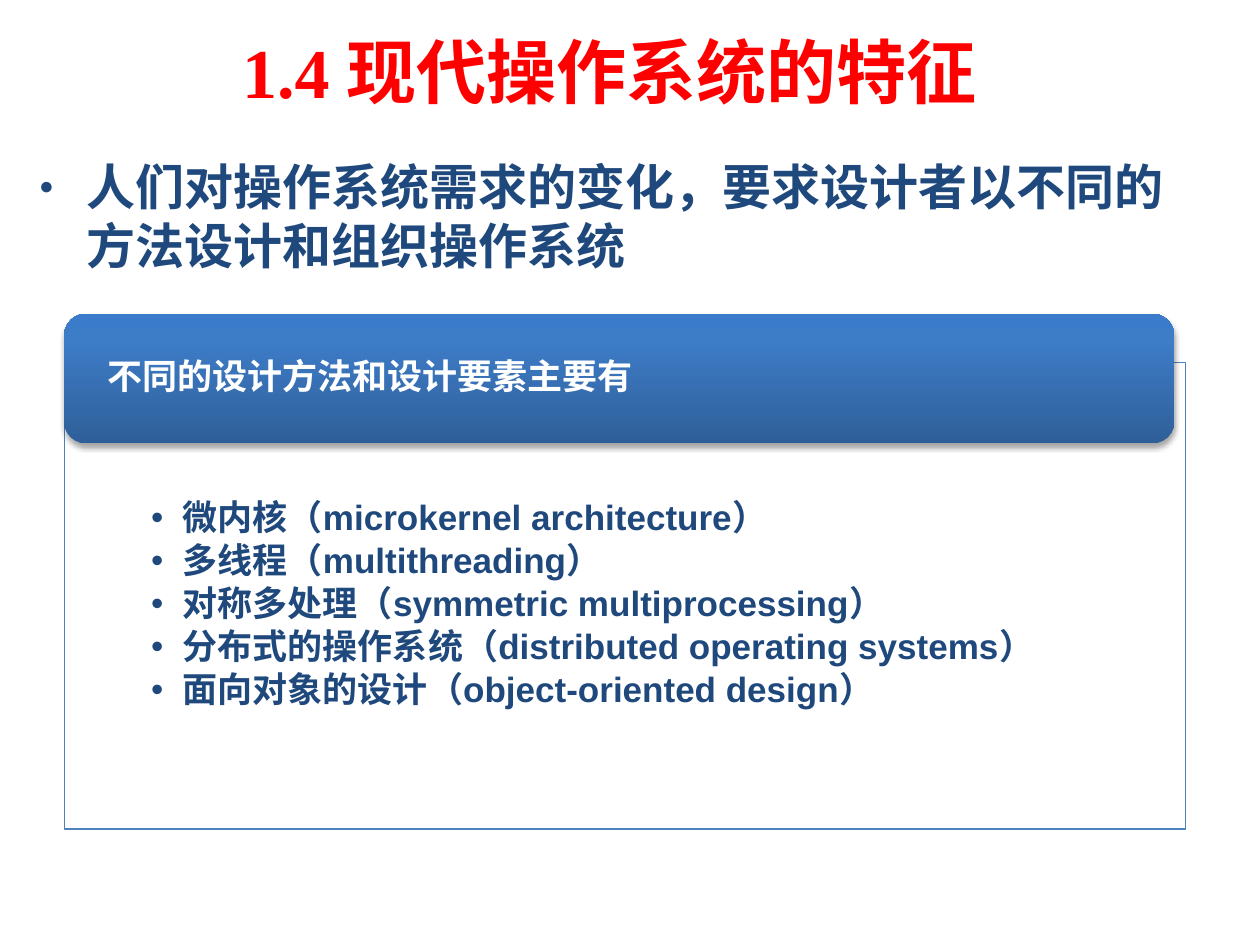
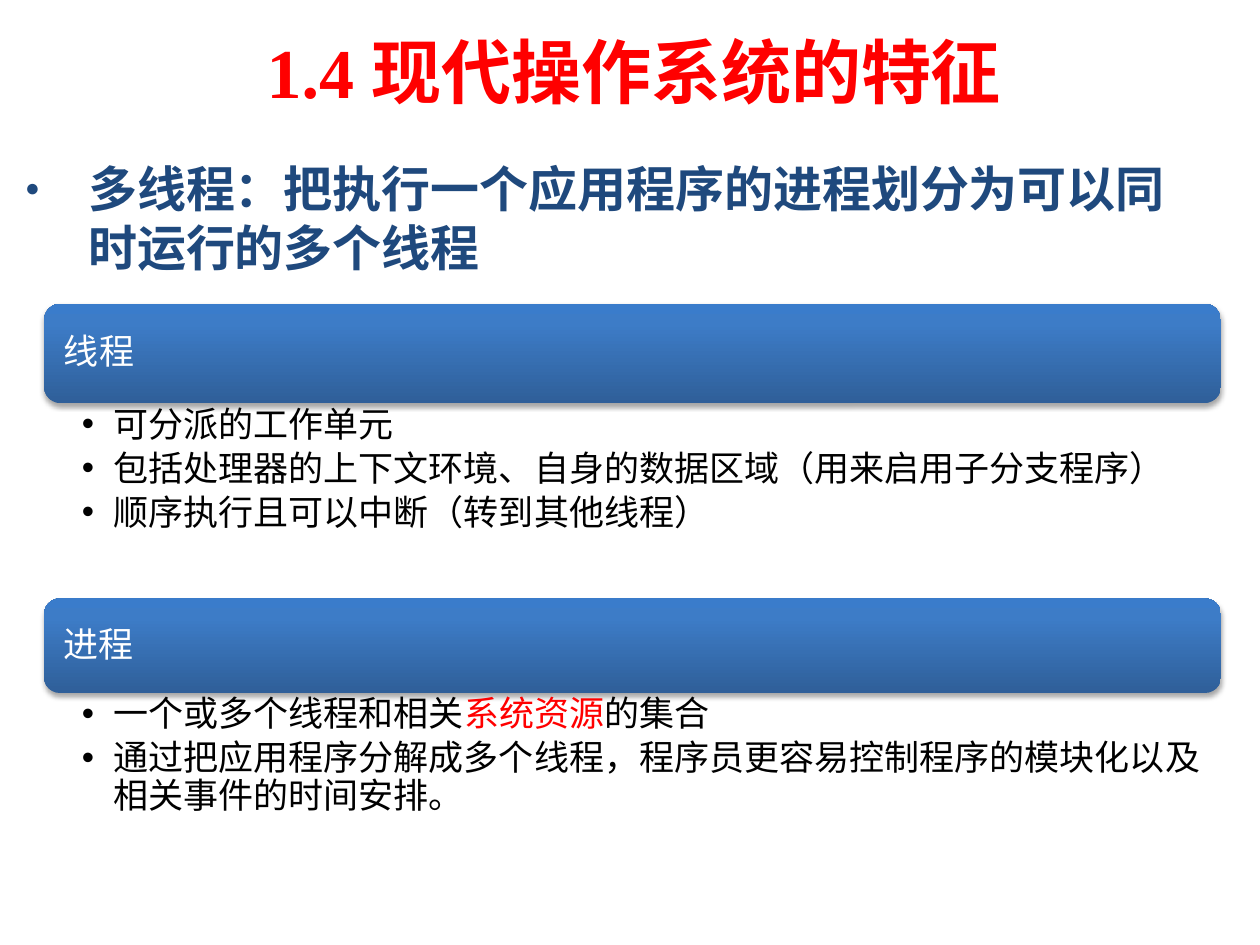
from dataclasses import dataclass

import pptx
import pptx.dml.color
import pptx.enum.shapes
import pptx.enum.text
import pptx.oxml.ns
import pptx.util
from lxml import etree
from pptx.util import Inches

RED = pptx.dml.color.RGBColor(0xFF, 0x00, 0x00)
NAVY = pptx.dml.color.RGBColor(0x1F, 0x49, 0x7D)
WHITE = pptx.dml.color.RGBColor(0xFF, 0xFF, 0xFF)
BLACK = pptx.dml.color.RGBColor(0x00, 0x00, 0x00)
PANEL_EDGE = pptx.dml.color.RGBColor(0x4F, 0x81, 0xBD)
BAND_STOPS = (
    (0, pptx.dml.color.RGBColor(0x2F, 0x5F, 0x99)),
    (80, pptx.dml.color.RGBColor(0x3D, 0x7C, 0xC7)),
    (100, pptx.dml.color.RGBColor(0x3A, 0x7C, 0xCB)),
)
TITLE = "1.4 现代操作系统的特征"
MIDDLE = pptx.enum.text.MSO_ANCHOR.MIDDLE


@dataclass(frozen=True)
class Box:
    """A rectangle in inches."""
    left: float
    top: float
    width: float
    height: float

    def lengths(self) -> tuple:
        return tuple(Inches(n) for n in (self.left, self.top, self.width, self.height))


@dataclass(frozen=True)
class Style:
    font: str
    size: float
    color: pptx.dml.color.RGBColor
    bold: bool = False


@dataclass(frozen=True)
class Phrase:
    """Words that stand out from their paragraph by colour."""
    text: str
    color: pptx.dml.color.RGBColor


@dataclass(frozen=True)
class Section:
    heading: str
    items: tuple
    band: Box
    body: Box


TITLE_STYLE = Style("Times New Roman", 40, RED, True)
LEAD_STYLE = Style("Arial", 28, NAVY, True)
METHOD_STYLE = Style("Arial", 20, NAVY, True)
METHOD_BAND_STYLE = Style("Arial", 20, WHITE, True)
SECTION_STYLE = Style("Calibri", 20, BLACK)
SECTION_BAND_STYLE = Style("Calibri", 20, WHITE)

METHODS = (
    "微内核（microkernel architecture）",
    "多线程（multithreading）",
    "对称多处理（symmetric multiprocessing）",
    "分布式的操作系统（distributed operating systems）",
    "面向对象的设计（object-oriented design）",
)
SECTIONS = (
    Section(
        "线程",
        (
            ("可分派的工作单元",),
            ("包括处理器的上下文环境、自身的数据区域（用来启用子分支程序）",),
            ("顺序执行且可以中断（转到其他线程）",),
        ),
        Box(0.35, 2.41, 9.34, 0.79),
        Box(0.35, 3.2, 9.34, 1.55),
    ),
    Section(
        "进程",
        (
            ("一个或多个线程和相关", Phrase("系统资源", RED), "的集合"),
            ("通过把应用程序分解成多个线程，程序员更容易控制程序的模块化以及相关事件的时间安排。",),
        ),
        Box(0.35, 4.75, 9.34, 0.75),
        Box(0.35, 5.5, 9.34, 1.36),
    ),
)


def add_child(parent, tag: str, **attributes):
    child = etree.SubElement(parent, pptx.oxml.ns.qn(tag))
    for key, value in attributes.items():
        child.set(key, str(value))
    return child


def apply_style(paragraph, style: Style) -> None:
    font = paragraph.font
    font.name, font.size, font.bold = style.font, pptx.util.Pt(style.size), style.bold
    font.color.rgb = style.color


def add_bullet(paragraph, indent: float, mark: str = "•", percent: int = 100) -> None:
    """Give a paragraph a hanging bullet; call before its font is set."""
    properties = paragraph._p.get_or_add_pPr()
    properties.set("marL", str(Inches(indent)))
    properties.set("indent", str(-Inches(indent)))
    add_child(properties, "a:buSzPct", val=percent * 1000)
    add_child(properties, "a:buFont", typeface="Arial")
    add_child(properties, "a:buChar", char=mark)


def set_margins(frame, left: float, top: float, right: float, bottom: float) -> None:
    frame.word_wrap = True
    frame.margin_left, frame.margin_top = Inches(left), Inches(top)
    frame.margin_right, frame.margin_bottom = Inches(right), Inches(bottom)


def fill_placeholder(placeholder, box: Box, text: str, style: Style):
    placeholder.left, placeholder.top, placeholder.width, placeholder.height = box.lengths()
    frame = placeholder.text_frame
    frame.text = text
    frame.auto_size = pptx.enum.text.MSO_AUTO_SIZE.NONE
    return frame.paragraphs[0]


def add_topic_slide(deck, title_box: Box, lead: str, lead_box: Box, indent: float):
    slide = deck.slides.add_slide(deck.slide_layouts[1])
    title = fill_placeholder(slide.shapes.title, title_box, TITLE, TITLE_STYLE)
    title.alignment = pptx.enum.text.PP_ALIGN.CENTER
    apply_style(title, TITLE_STYLE)
    statement = fill_placeholder(slide.placeholders[1], lead_box, lead, LEAD_STYLE)
    statement.space_before = pptx.util.Pt(0)
    add_bullet(statement, indent, "●", 50)
    apply_style(statement, LEAD_STYLE)
    return slide


def add_band(slide, box: Box, heading: str, style: Style, margin: float) -> None:
    """Draw a rounded gradient band with a soft shadow and its heading."""
    band = slide.shapes.add_shape(
        pptx.enum.shapes.MSO_SHAPE.ROUNDED_RECTANGLE, *box.lengths())
    band.line.fill.background()
    band.fill.gradient()
    band.fill.gradient_angle = 90
    properties = band._element.spPr
    stops = properties.find(".//" + pptx.oxml.ns.qn("a:gsLst"))
    for stop in list(stops):
        stops.remove(stop)
    for position, color in BAND_STOPS:
        add_child(add_child(stops, "a:gs", pos=position * 1000), "a:srgbClr", val=color)

    band.shadow.inherit = False
    effects = properties.find(pptx.oxml.ns.qn("a:effectLst"))
    shadow = add_child(effects, "a:outerShdw", blurRad=pptx.util.Pt(3.1),
                       dist=pptx.util.Pt(1.8), dir=90 * 60000, rotWithShape=0)
    add_child(add_child(shadow, "a:srgbClr", val=BLACK), "a:alpha", val=35000)

    frame = band.text_frame
    set_margins(frame, margin, 0, margin, 0)
    frame.vertical_anchor = MIDDLE
    frame.text = heading
    paragraph = frame.paragraphs[0]
    paragraph.alignment = pptx.enum.text.PP_ALIGN.LEFT
    paragraph.line_spacing = 0.9
    apply_style(paragraph, style)


def write_bullets(frame, items: tuple, style: Style, gap: float) -> None:
    frame.vertical_anchor = pptx.enum.text.MSO_ANCHOR.TOP
    for index, pieces in enumerate(items):
        paragraph = frame.add_paragraph() if index else frame.paragraphs[0]
        paragraph.alignment = pptx.enum.text.PP_ALIGN.LEFT
        paragraph.line_spacing = 0.9
        paragraph.space_after = pptx.util.Pt(gap)
        add_bullet(paragraph, 0.25)
        apply_style(paragraph, style)
        for piece in pieces:
            run = paragraph.add_run()
            if isinstance(piece, Phrase):
                run.text = piece.text
                run.font.color.rgb = piece.color
            else:
                run.text = piece


def build_methods_slide(deck) -> None:
    slide = add_topic_slide(
        deck, Box(0.92, 0.25, 7.83, 0.62),
        "人们对操作系统需求的变化，要求设计者以不同的方法设计和组织操作系统",
        Box(0.21, 1.19, 9.44, 1.2), 0.38)
    panel = slide.shapes.add_shape(
        pptx.enum.shapes.MSO_SHAPE.RECTANGLE, *Box(0.51, 2.88, 8.9, 3.7).lengths())
    panel.shadow.inherit = False
    panel.fill.solid()
    panel.fill.fore_color.rgb = WHITE
    panel.line.color.rgb = PANEL_EDGE
    panel.line.width = pptx.util.Pt(0.75)
    set_margins(panel.text_frame, 0.69, 1.09, 0.69, 0.16)
    write_bullets(panel.text_frame, tuple((m,) for m in METHODS), METHOD_STYLE, 3)
    add_band(slide, Box(0.51, 2.49, 8.81, 1.03), "不同的设计方法和设计要素主要有",
             METHOD_BAND_STYLE, 0.29)


def build_threads_slide(deck) -> None:
    slide = add_topic_slide(
        deck, Box(0.75, 0.21, 8.56, 0.7),
        "多线程：把执行一个应用程序的进程划分为可以同时运行的多个线程",
        Box(0.1, 1.21, 9.61, 1.04), 0.5)
    for section in SECTIONS:
        add_band(slide, section.band, section.heading, SECTION_BAND_STYLE, 0.12)
        details = slide.shapes.add_textbox(*section.body.lengths()).text_frame
        set_margins(details, 0.3, 0.03, 0.16, 0.03)
        write_bullets(details, section.items, SECTION_STYLE, 3.5)


def main() -> None:
    deck = pptx.Presentation()
    deck.slide_width, deck.slide_height = Inches(10), Inches(7.5)
    build_methods_slide(deck)
    build_threads_slide(deck)
    deck.save("out.pptx")


if __name__ == "__main__":
    main()
